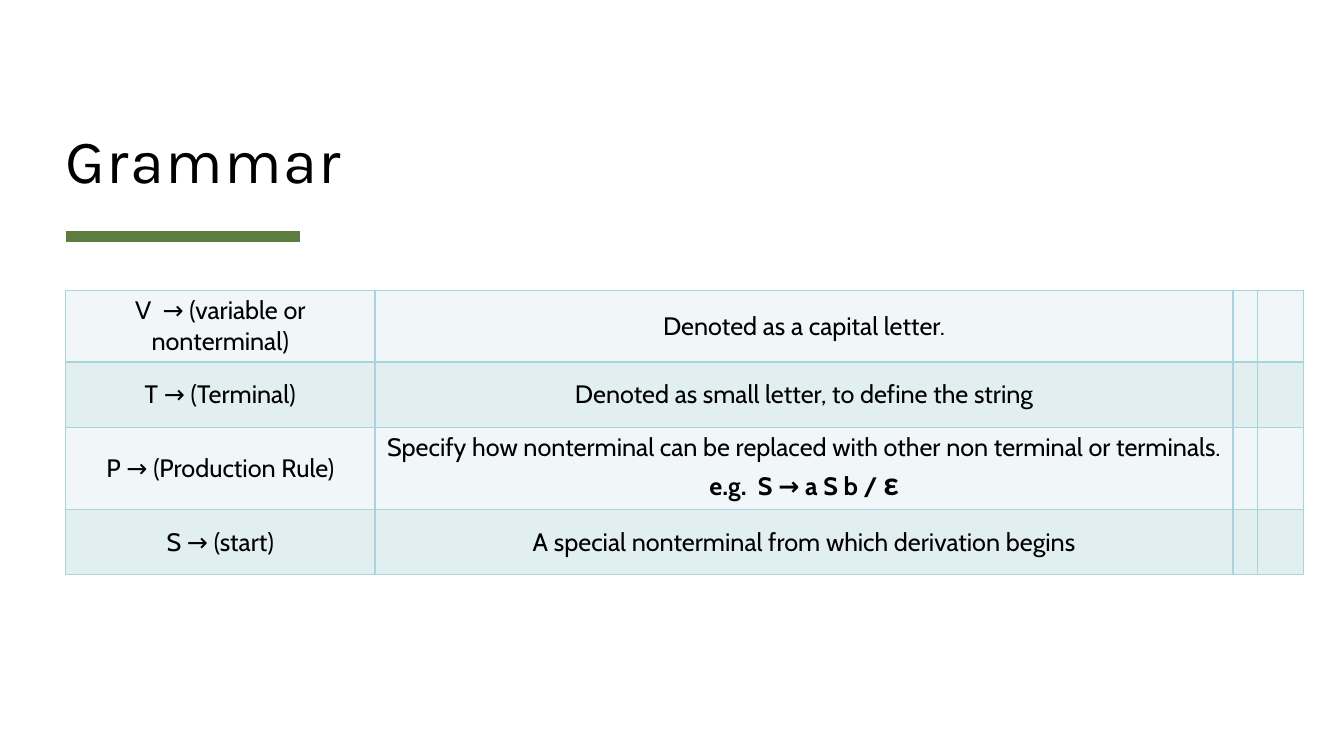
"""Builds the slide that explains the four parts of a grammar."""
import dataclasses

import lxml.etree
import pptx
import pptx.dml.color
import pptx.enum.shapes
import pptx.enum.text
import pptx.oxml.ns
import pptx.util

Inches = pptx.util.Inches


@dataclasses.dataclass(frozen=True)
class Theme:
    heading_font: str = "Karla"
    body_font: str = "Cabin"
    symbol_font: str = "Calibri"
    heading_size: int = 44
    body_size: int = 18
    symbol_size: int = 24
    ink: str = "000000"
    accent: str = "5D7D40"
    border: str = "A9D4DB"
    bands: tuple = ("F1F7F8", "E2EFF1")


class GrammarSlide:
    def __init__(self, deck, theme):
        self.theme = theme
        self.slide = deck.slides.add_slide(deck.slide_layouts[5])

    def color(self, value):
        return pptx.dml.color.RGBColor.from_string(value)

    def child(self, parent, tag, **attributes):
        return lxml.etree.SubElement(parent, pptx.oxml.ns.qn(tag), attributes)

    def span(self, para, text, font, size, bold=False):
        span = para.add_run()
        span.text = text
        span.font.name = font
        span.font.size = pptx.util.Pt(size)
        span.font.bold = bold
        span.font.color.rgb = self.color(self.theme.ink)
        return span

    def title(self, text, left, top, width, height):
        box = self.slide.shapes.title
        box.left, box.top, box.width, box.height = map(Inches, (left, top, width, height))
        frame = box.text_frame
        frame.margin_left = frame.margin_right = frame.margin_top = frame.margin_bottom = 0
        frame.vertical_anchor = pptx.enum.text.MSO_ANCHOR.BOTTOM
        frame.auto_size = pptx.enum.text.MSO_AUTO_SIZE.NONE
        frame.word_wrap = True
        para = frame.paragraphs[0]
        para.alignment = pptx.enum.text.PP_ALIGN.LEFT
        para.line_spacing = 0.8
        span = self.span(para, text, self.theme.heading_font, self.theme.heading_size)
        span.font._element.set("spc", "100")

    def rule(self, left, right, y):
        line = self.slide.shapes.add_connector(
            pptx.enum.shapes.MSO_CONNECTOR.STRAIGHT,
            Inches(left), Inches(y), Inches(right), Inches(y))
        line.line.color.rgb = self.color(self.theme.accent)
        line.line.width = pptx.util.Pt(8)
        self.child(line._element.spPr, "a:effectLst")

    def cell(self, cell, spans, fill):
        properties = cell._tc.get_or_add_tcPr()
        for side in ("L", "R", "T", "B"):
            edge = self.child(properties, f"a:ln{side}", w=str(pptx.util.Pt(1)))
            paint = self.child(edge, "a:solidFill")
            self.child(paint, "a:srgbClr", val=self.theme.border)
        cell.fill.solid()
        cell.fill.fore_color.rgb = self.color(fill)
        cell.vertical_anchor = pptx.enum.text.MSO_ANCHOR.MIDDLE
        para = cell.text_frame.paragraphs[0]
        para.alignment = pptx.enum.text.PP_ALIGN.CENTER
        for span in spans:
            self.span(para, *span)

    def table(self, rows, left, top, widths, row_height):
        table = self.slide.shapes.add_table(
            len(rows), len(widths), Inches(left), Inches(top),
            Inches(sum(widths)), Inches(row_height * len(rows))).table
        table.first_row = table.horz_banding = False
        for column, width in zip(table.columns, widths):
            column.width = Inches(width)
        for index, row in enumerate(rows):
            fill = self.theme.bands[index % len(self.theme.bands)]
            for position in range(len(widths)):
                spans = row[position] if position < len(row) else []
                self.cell(table.cell(index, position), spans, fill)


def main():
    deck = pptx.Presentation()
    deck.slide_width, deck.slide_height = Inches(13.33), Inches(7.5)
    theme = Theme()
    page = GrammarSlide(deck, theme)
    body = (theme.body_font, theme.body_size)
    symbol = (theme.symbol_font, theme.symbol_size)
    rows = [
        [[("V  → (variable or nonterminal)", *body)],
         [("Denoted as a capital letter.", *body)]],
        [[("T → (Terminal)", *body)],
         [("Denoted as small letter, to define the string", *body)]],
        [[("P → (Production Rule)", *body)],
         [("Specify how nonterminal can be replaced with other non terminal or terminals. ", *body),
          ("e.g.  S → a S b / ", *body, True),
          ("ε", *symbol, True)]],
        [[("S → (start)", *body)],
         [("A special nonterminal from which derivation begins", *body)]],
    ]
    page.rule(0.65, 2.98, 2.35)
    page.title("Grammar", 0.65, 0.64, 12, 1.3)
    page.table(rows, 0.65, 2.88, (3.07, 8.51, 0.23, 0.46), 0.65)
    deck.save("out.pptx")


if __name__ == "__main__":
    main()
